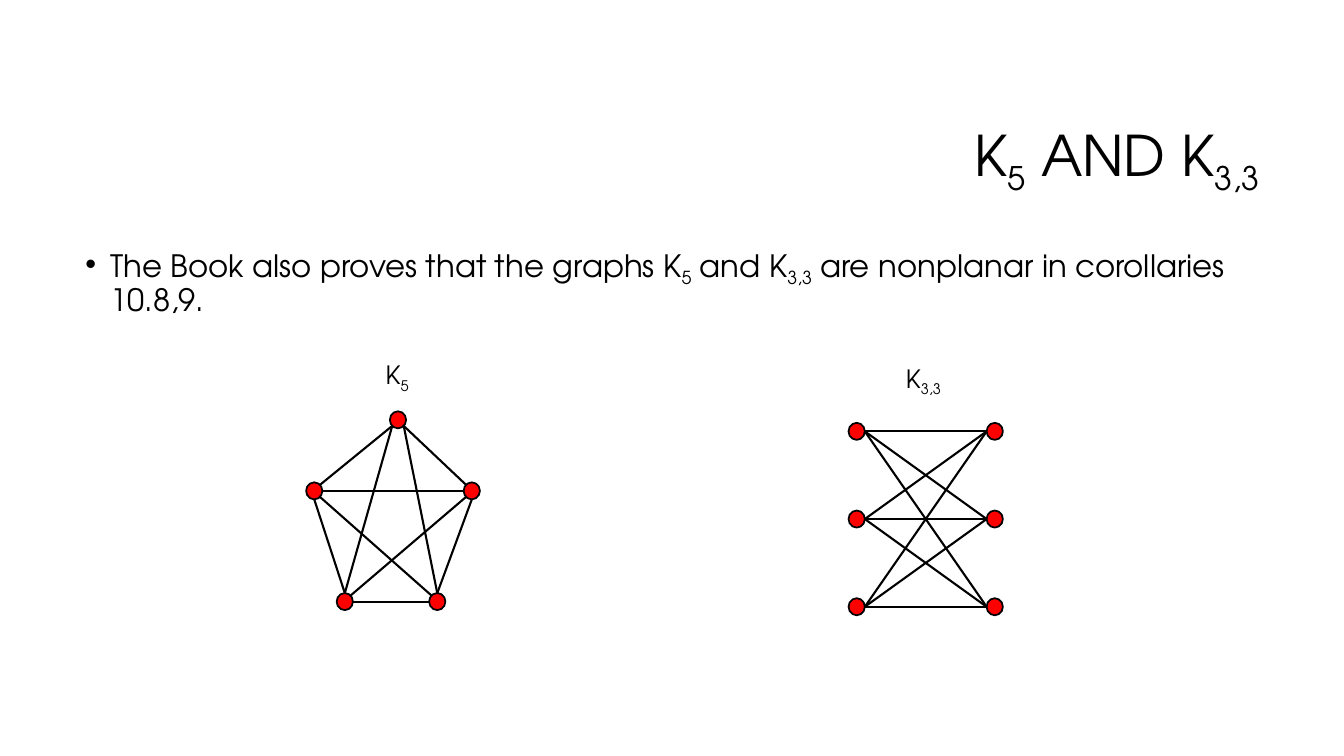
"""Build a slide showing the nonplanar graphs K5 and K3,3."""
import itertools
import math

import lxml.etree
import pptx
import pptx.dml.color
import pptx.enum.shapes
import pptx.enum.text
import pptx.oxml.ns
import pptx.util

Cm, Pt = pptx.util.Cm, pptx.util.Pt
RGB = pptx.dml.color.RGBColor
qn = pptx.oxml.ns.qn
Anchor = pptx.enum.text.MSO_ANCHOR
Fit = pptx.enum.text.MSO_AUTO_SIZE

THEME = {
    "font": "TeX Gyre Adventor", "ink": RGB(0, 0, 0), "node": RGB(255, 0, 0),
    "title": Pt(40), "body": Pt(22), "label": Pt(18),
    "outline": Pt(1.25), "edge": Pt(1.5),
}
NODE_WIDTH, NODE_HEIGHT = 0.41, 0.43
COMPASS = ["E", "SE", "S", "SW", "W", "NW", "N", "NE"]

presentation = pptx.Presentation()
presentation.slide_width, presentation.slide_height = Cm(33.87), Cm(19.05)
slide = presentation.slides.add_slide(presentation.slide_layouts[6])


def add_text(box, pieces, size):
    """Add a text box whose every second piece is a subscript."""
    frame = slide.shapes.add_textbox(*map(Cm, box)).text_frame
    frame.word_wrap = True
    paragraph = frame.paragraphs[0]
    for index, piece in enumerate(pieces):
        run = paragraph.add_run()
        run.text = piece
        run.font.name = THEME["font"]
        run.font.size = size
        run.font.color.rgb = THEME["ink"]
        if index % 2:
            run.font._element.set("baseline", "-25000")
    return frame


def add_graph(nodes, edges):
    """Draw the nodes and join them between compass points on their rims."""
    graph = slide.shapes.add_group_shape().shapes
    for x, y in nodes.values():
        node = graph.add_shape(
            pptx.enum.shapes.MSO_SHAPE.OVAL,
            Cm(x - NODE_WIDTH / 2), Cm(y - NODE_HEIGHT / 2),
            Cm(NODE_WIDTH), Cm(NODE_HEIGHT))
        node.shadow.inherit = False
        node.fill.solid()
        node.fill.fore_color.rgb = THEME["node"]
        node.line.color.rgb = THEME["ink"]
        node.line.width = THEME["outline"]
    for edge in edges:
        ends = []
        for name, side in edge:
            angle = COMPASS.index(side) * math.pi / 4
            x, y = nodes[name]
            ends += [Cm(x + NODE_WIDTH / 2 * math.cos(angle)),
                     Cm(y + NODE_HEIGHT / 2 * math.sin(angle))]
        line = graph.add_connector(pptx.enum.shapes.MSO_CONNECTOR.STRAIGHT, *ends)
        line.line.color.rgb = THEME["ink"]
        line.line.width = THEME["edge"]
        lxml.etree.SubElement(line._element.spPr, qn("a:effectLst"))


title = add_text((8.05, 2.13, 23.93, 3.58), ["K", "5", " AND K", "3,3"], THEME["title"])
title.vertical_anchor = Anchor.MIDDLE
title.paragraphs[0].alignment = pptx.enum.text.PP_ALIGN.RIGHT
title.paragraphs[0].line_spacing = 0.9

statement = add_text(
    (1.9, 6.1, 30.05, 2.24),
    ["The Book also proves that the graphs K", "5", " and K", "3,3",
     " are nonplanar in corollaries 10.8,9."], THEME["body"]).paragraphs[0]
statement.line_spacing = 0.9
statement.space_before = Pt(10)
properties = statement._p.get_or_add_pPr()
properties.set("marL", str(Cm(0.64)))
properties.set("indent", str(-Cm(0.64)))
lxml.etree.SubElement(properties, qn("a:buFont")).set("typeface", "Arial")
lxml.etree.SubElement(properties, qn("a:buChar")).set("char", "•")

pentagon = {
    "top": (10.03, 10.58), "right": (11.89, 12.37), "left": (7.92, 12.37),
    "lower right": (11.02, 15.16), "lower left": (8.69, 15.16),
}
add_graph(pentagon, [
    (("left", "NE"), ("top", "SW")),
    (("top", "SE"), ("right", "NW")),
    (("left", "E"), ("right", "W")),
    (("left", "SE"), ("lower right", "NW")),
    (("left", "S"), ("lower left", "N")),
    (("top", "SW"), ("lower left", "N")),
    (("top", "SE"), ("lower right", "N")),
    (("right", "S"), ("lower right", "N")),
    (("right", "SW"), ("lower left", "NE")),
    (("lower left", "E"), ("lower right", "W")),
])

columns = {"left": 21.59, "right": 25.07}
bipartite = {(side, row): (x, 10.87 + 2.21 * row)
             for side, x in columns.items() for row in range(3)}
add_graph(bipartite, [
    ((("left", start), "E"), (("right", end), "W"))
    for start, end in itertools.product(range(3), repeat=2)
])

for box, subscript in [((9.47, 8.94, 1.12, 1.02), "5"),
                       ((22.58, 9.02, 1.47, 1.02), "3,3")]:
    label = add_text(box, ["K", subscript], THEME["label"])
    label.word_wrap = False
    label.auto_size = Fit.SHAPE_TO_FIT_TEXT

presentation.save("out.pptx")
